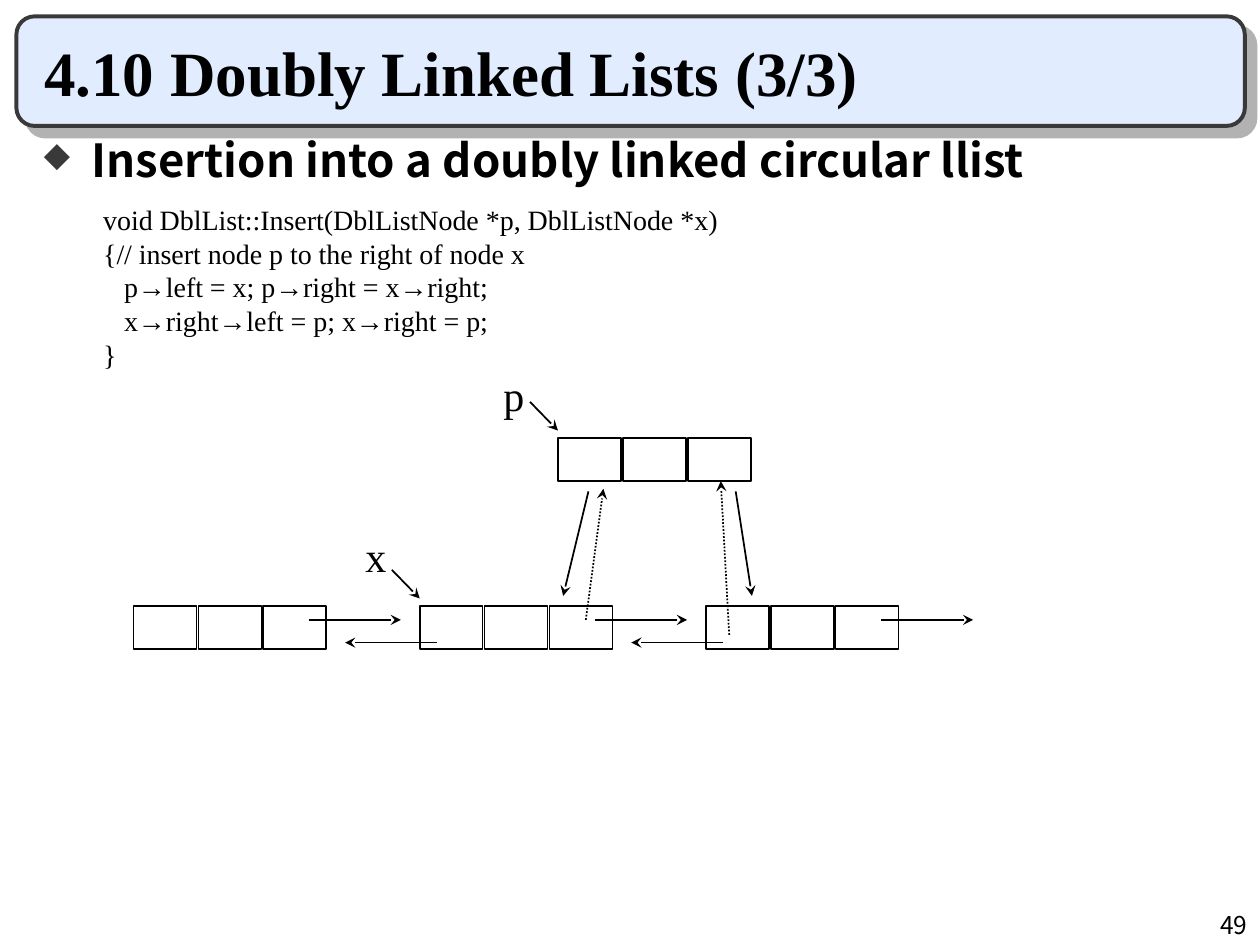
from dataclasses import dataclass

from lxml import etree
from pptx import Presentation
from pptx import util as u
from pptx.dml.color import RGBColor
from pptx.enum import dml, shapes, text
from pptx.oxml.ns import qn


@dataclass(frozen=True)
class Theme:
    serif: str = "Times New Roman"
    sans: str = "Noto Sans CJK KR"
    ink: str = "000000"
    frame: str = "393939"
    banner: str = "E1ECFF"
    shadow: str = "B2B2B2"
    title: int = 36
    heading: int = 26
    label: int = 24
    code: int = 16
    number: int = 14


@dataclass(frozen=True)
class Box:
    left: float
    top: float
    width: float
    height: float

    def emu(self):
        return [u.Inches(v) for v in (self.left, self.top, self.width, self.height)]


@dataclass(frozen=True)
class Grid:
    """Columns and rows counted from the top left of a region."""
    left: float
    top: float
    col: float
    row: float

    def x(self, columns):
        return u.Inches(self.left + columns * self.col)

    def y(self, rows):
        return u.Inches(self.top + rows * self.row)


T = Theme()
WIDTH, HEIGHT = 10, 7.5
NODE_PITCH = 4.41   # columns from one list node to the next
LIST_ROW = 5.68     # row of the linked list
NEW_NODE = (6.54, 1.76)
CODE = [
    "void DblList::Insert(DblListNode *p, DblListNode *x)",
    "{// insert node p to the right of node x",
    "   p→left = x; p→right = x→right;",
    "   x→right→left = p; x→right = p;",
    "}",
]


def color(value):
    return RGBColor.from_string(value)


def set_font(p, size, name, bold=False):
    p.font.size, p.font.name, p.font.bold = u.Pt(size), name, bold
    p.font.color.rgb = color(T.ink)


def add_text(slide, box, lines, size, name, wrap=True):
    tf = slide.shapes.add_textbox(*box).text_frame
    tf.word_wrap = wrap
    tf.text = "\n".join(lines)
    for p in tf.paragraphs:
        set_font(p, size, name)
    return tf


def add_arrow(slide, grid, start, end, dotted=False):
    line = slide.shapes.add_connector(
        shapes.MSO_CONNECTOR.STRAIGHT,
        grid.x(start[0]), grid.y(start[1]), grid.x(end[0]), grid.y(end[1]))
    line.line.color.rgb = color(T.ink)
    line.line.width = u.Pt(1)
    if dotted:
        line.line.dash_style = dml.MSO_LINE.ROUND_DOT
    etree.SubElement(line.line._get_or_add_ln(), qn("a:tailEnd"), type="stealth")
    etree.SubElement(line._element.spPr, qn("a:effectLst"))


def add_node(slide, grid, x, y):
    for i in range(3):
        cell = slide.shapes.add_shape(
            shapes.MSO_SHAPE.RECTANGLE, grid.x(x + i), grid.y(y),
            u.Inches(0.5), u.Inches(grid.row))
        cell.shadow.inherit = False
        cell.fill.background()
        cell.line.color.rgb = color(T.ink)
        cell.line.width = u.Pt(1)


def add_pointer(slide, grid, name, x, y, rise):
    """Label a node with the variable that points to it."""
    box = (grid.x(x - 1.03), grid.y(y - rise), u.Inches(0.37), u.Inches(0.5))
    add_text(slide, box, [name], T.label, T.serif, wrap=False)
    add_arrow(slide, grid, (x - 0.43, y - 0.85), (x, y - 0.18))


def add_banner(slide, box):
    # Rounded frame with a hard shadow, behind the title
    sp = slide.shapes.add_shape(shapes.MSO_SHAPE.ROUNDED_RECTANGLE, *box.emu())
    sp.shadow.inherit = False
    sp.fill.solid()
    sp.fill.fore_color.rgb = color(T.banner)
    sp.line.color.rgb = color(T.frame)
    sp.line.width = u.Pt(2.25)
    shadow = etree.SubElement(
        sp._element.spPr.find(qn("a:effectLst")), qn("a:outerShdw"),
        dist=str(u.Pt(8.5)), dir=str(45 * 60000), algn="tl", rotWithShape="0")
    etree.SubElement(shadow, qn("a:srgbClr"), val=T.shadow)

    # Title placeholder
    title = slide.shapes.title
    title._element.addprevious(sp._element)
    title.left, title.top, title.width, title.height = Box(
        box.left + 0.12, box.top + 0.12, box.width - 0.33, box.height - 0.2).emu()
    tf = title.text_frame
    tf.text = "4.10 Doubly Linked Lists (3/3)"
    tf.auto_size = text.MSO_AUTO_SIZE.NONE
    tf.vertical_anchor = text.MSO_ANCHOR.BOTTOM
    p = tf.paragraphs[0]
    p.alignment = text.PP_ALIGN.LEFT
    set_font(p, T.title, T.serif, bold=True)


def add_heading(slide, box):
    tf = add_text(slide, box.emu(), ["Insertion into a doubly linked circular llist"],
                  T.heading, T.sans)
    p = tf.paragraphs[0]
    p.line_spacing = 0.8
    pPr = p._p.get_or_add_pPr()
    pPr.set("marL", str(u.Inches(0.38)))
    pPr.set("indent", str(u.Inches(-0.38)))
    bullet_color = etree.Element(qn("a:buClr"))
    etree.SubElement(bullet_color, qn("a:srgbClr"), val=T.frame)
    bullet_size = etree.Element(qn("a:buSzPct"), val="75000")
    bullet = etree.Element(qn("a:buChar"), char="◆")
    for part in (bullet_color, bullet_size, bullet):
        pPr.find(qn("a:defRPr")).addprevious(part)
    set_font(p, T.heading, T.sans, bold=True)


def add_diagram(slide, grid):
    # Nodes: the new one above, three in the list below
    nodes = [i * NODE_PITCH for i in range(3)]
    add_node(slide, grid, *NEW_NODE)
    for x in nodes:
        add_node(slide, grid, x, LIST_ROW)

    # Right and left links along the list
    right_row, left_row = LIST_ROW + 0.32, LIST_ROW + 0.85
    for x in nodes:
        add_arrow(slide, grid, (x + 2.7, right_row), (x + 4.12, right_row))
    for x in nodes[1:]:
        add_arrow(slide, grid, (x + 0.27, left_row), (x - 1.15, left_row))

    # Links between the new node and its neighbours
    add_arrow(slide, grid, (7.01, 3), (6.62, 5.44))
    add_arrow(slide, grid, (9.28, 3), (9.53, 5.44))
    add_arrow(slide, grid, (6.97, 6), (7.24, 2.94), dotted=True)
    add_arrow(slide, grid, (9.18, 6.35), (9.05, 2.76), dotted=True)

    # Named pointers
    add_pointer(slide, grid, "x", nodes[1], LIST_ROW, rise=1.91)
    add_pointer(slide, grid, "p", *NEW_NODE, rise=1.76)


def add_number(slide, box):
    tf = add_text(slide, box.emu(), ["49"], T.number, T.sans)
    tf.paragraphs[0].alignment = text.PP_ALIGN.RIGHT


def main():
    prs = Presentation()
    prs.slide_width, prs.slide_height = u.Inches(WIDTH), u.Inches(HEIGHT)
    slide = prs.slides.add_slide(prs.slide_layouts[5])
    add_banner(slide, Box(0.13, 0.13, 9.75, 0.87))
    add_heading(slide, Box(0.25, 1.08, 9.42, 0.5))
    add_text(slide, Box(0.72, 1.56, 5.08, 1.44).emu(), CODE, T.code, T.serif, wrap=False)
    add_diagram(slide, Grid(1.06, 2.88, 0.515, 0.34))
    add_number(slide, Box(WIDTH - 2.08, HEIGHT - 0.33, 2.08, 0.33))
    prs.save("out.pptx")


if __name__ == "__main__":
    main()
